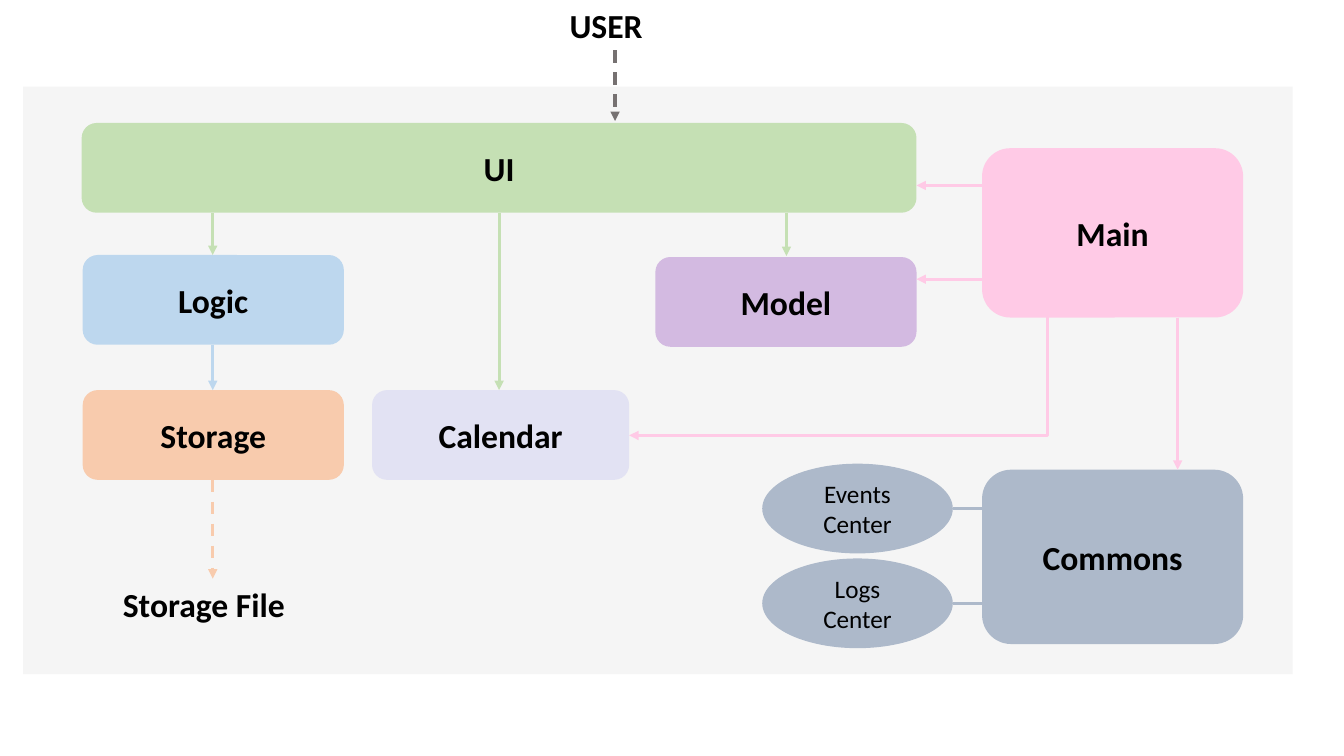
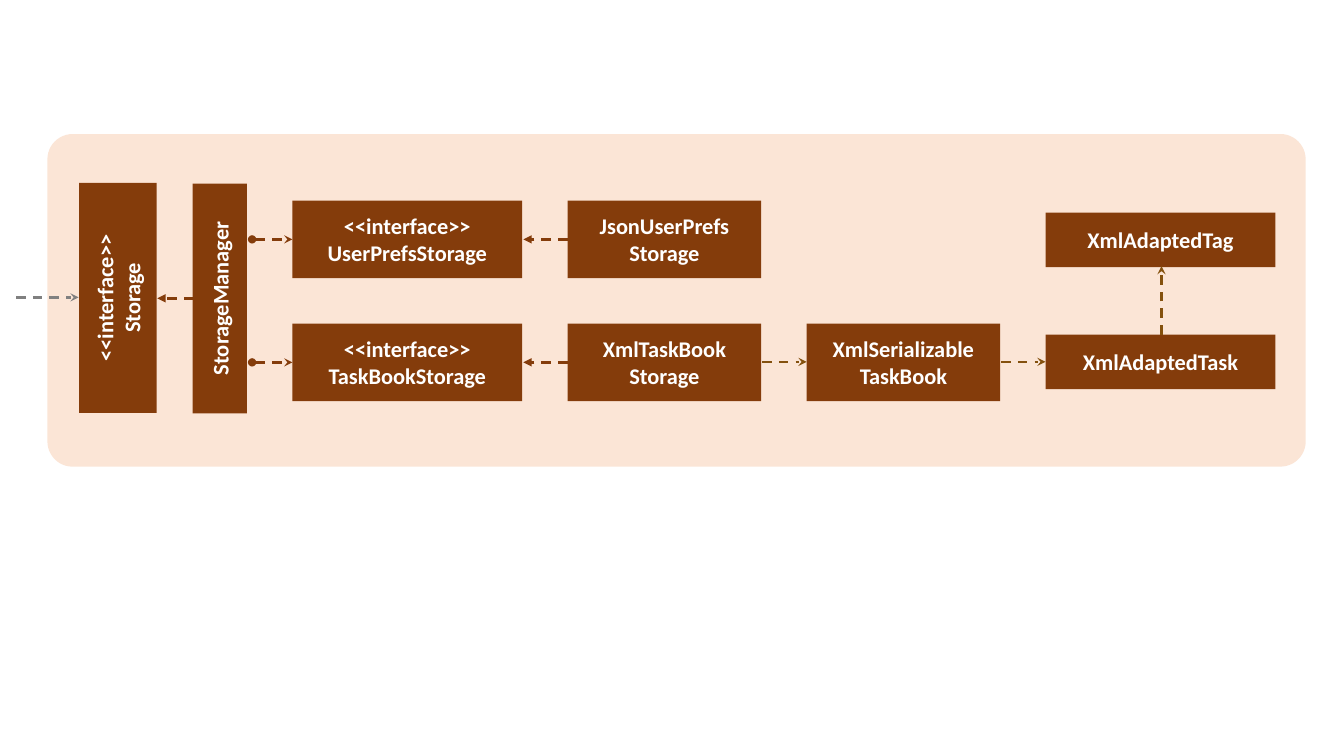
"""Build the two design diagrams: application architecture and storage component."""
from pptx import Presentation
from pptx.dml.color import RGBColor
from pptx.enum import dml, shapes, text
from pptx.oxml import ns
from pptx.util import Inches, Pt
from lxml import etree

FONT = "Calibri"
COLORS = {
    "panel": "F2F2F2", "ui": "C5E0B4", "storage": "F8CBAD", "logic": "BDD7EE",
    "model": "D3BAE1", "commons": "ADB9CA", "main": "FFCAE6", "calendar": "E2E2F3",
    "user": "767171", "black": "000000", "white": "FFFFFF",
    "package": "FBE5D6", "class": "843C0B", "xml": "84510E", "caller": "808080",
}
RECT = shapes.MSO_SHAPE.RECTANGLE
ROUND = shapes.MSO_SHAPE.ROUNDED_RECTANGLE
OVAL = shapes.MSO_SHAPE.OVAL


def rgb(name):
    """Return the named colour."""
    return RGBColor.from_string(COLORS[name])


def add_child(parent, tag, **attributes):
    """Append a DrawingML element to a parent element."""
    return etree.SubElement(parent, ns.qn(tag), attributes)


def write(frame, content, size, color, bold, align=None):
    """Fill a text frame, one paragraph for each line of content."""
    frame.text = content
    for para in frame.paragraphs:
        para.alignment = align
        para.font.name = FONT
        para.font.size = Pt(size)
        para.font.bold = bold
        para.font.color.rgb = rgb(color)


def add_box(page, kind, place, fill, content="", size=24, color="black", bold=True):
    """Draw a filled shape with centred text; place is left, top, width, height."""
    box = page.shapes.add_shape(kind, *map(Inches, place))
    box.shadow.inherit = False
    box.fill.solid()
    box.fill.fore_color.rgb = rgb(fill)
    box.line.fill.background()
    if content:
        box.text_frame.word_wrap = True
        box.text_frame.vertical_anchor = text.MSO_ANCHOR.MIDDLE
        write(box.text_frame, content, size, color, bold, text.PP_ALIGN.CENTER)
    return box


def add_class(page, place, content, upright=False):
    """Draw a class box; an upright one is turned a quarter to the left."""
    box = add_box(page, RECT, place, "class", content, 16, "white")
    if upright:
        box.rotation = 270


def add_label(page, place, content):
    """Write a bold label without a box."""
    label = page.shapes.add_textbox(*map(Inches, place))
    label.text_frame.word_wrap = False
    label.text_frame.auto_size = text.MSO_AUTO_SIZE.SHAPE_TO_FIT_TEXT
    write(label.text_frame, content, 24, "black", True)


def add_line(page, start, end, color, width=2.25, dash=False, head=None,
             tail="triangle", kind=shapes.MSO_CONNECTOR.STRAIGHT):
    """Draw a connector from start to end with optional line ends."""
    line = page.shapes.add_connector(kind, *map(Inches, (*start, *end)))
    line.line.color.rgb = rgb(color)
    line.line.width = Pt(width)
    if dash:
        line.line.dash_style = dml.MSO_LINE.DASH
    stroke = line.line._get_or_add_ln()
    if head:
        add_child(stroke, "a:headEnd", type=head)
    if tail:
        add_child(stroke, "a:tailEnd", type=tail)
    add_child(line._element.spPr, "a:effectLst")
    return line


def add_elbow(page, start, end, color):
    """Draw an arrow that goes straight down first and then sideways."""
    line = add_line(page, start, end, color, kind=shapes.MSO_CONNECTOR.ELBOW)
    geometry = line._element.spPr.find(ns.qn("a:prstGeom"))
    guides = geometry.find(ns.qn("a:avLst"))
    if guides is None:
        guides = add_child(geometry, "a:avLst")
    add_child(guides, "a:gd", name="adj1", fmla="val 0")


def add_dependency(page, start, end, color="class", tail="stealth", head=None):
    """Draw a dashed arrow between classes."""
    add_line(page, start, end, color, 1.7, True, head, tail)


def build_architecture(page):
    """Draw the architecture of the application."""
    panel = add_box(page, RECT, (0.23, 0.86, 12.59, 5.83), "panel")
    tint = panel._element.spPr.find(ns.qn("a:solidFill"))[0]
    add_child(tint, "a:alpha", val="77000")

    width, height = 2.59, 0.89
    for name, left, top, wide, high in (
            ("UI", 0.81, 1.22, 8.28, height),
            ("Storage", 0.82, 3.87, width, height),
            ("Logic", 0.82, 2.53, width, height),
            ("Model", 6.5, 2.55, width, height),
            ("Commons", 9.74, 4.66, width, 1.73),
            ("Main", 9.74, 1.47, width, 1.68),
            ("Calendar", 3.69, 3.87, 2.55, height)):
        add_box(page, ROUND, (left, top, wide, high), name.lower(), name)

    for name, top in (("Events Center", 4.6), ("Logs Center", 5.54)):
        add_box(page, OVAL, (7.56, top, 1.89, height), "commons", name, 18, bold=False)
        middle = top + height / 2
        add_line(page, (9.45, middle), (9.74, middle), "commons", tail=None)

    add_label(page, (5.55, 0, 1.09, 0.5), "USER")
    add_label(page, (1.12, 5.74, 1.99, 0.5), "Storage File")

    for x, top, bottom, color, dash in (
            (2.11, 2.11, 2.53, "ui", False),
            (4.95, 2.11, 3.87, "ui", False),
            (7.8, 2.11, 2.54, "ui", False),
            (2.11, 3.42, 3.87, "logic", False),
            (11.68, 3.15, 4.66, "main", False),
            (2.11, 4.76, 5.74, "storage", True),
            (6.1, 0.5, 1.2, "user", True)):
        add_line(page, (x, top), (x, bottom), color, dash=dash)
    for y in (1.84, 2.77):
        add_line(page, (9.74, y), (9.09, y), "main")
    add_elbow(page, (10.39, 3.15), (6.24, 4.32), "main")


def build_storage(page):
    """Draw the classes of the storage component."""
    package = add_box(page, ROUND, (0.47, 1.33, 12.48, 3.3), "package")
    package.adjustments[0] = 0.076

    long, short, high, low = 2.28, 1.92, 0.77, 0.54
    upper, lower = 1.99, 3.21
    add_class(page, (0.03, 2.57, long, high), "<<interface>>\nStorage", upright=True)
    add_class(page, (1.04, 2.69, long, low), "StorageManager", upright=True)
    for top, interface, implementation in (
            (upper, "UserPrefsStorage", "JsonUserPrefs Storage"),
            (lower, "TaskBookStorage", "XmlTaskBook Storage")):
        add_class(page, (2.9, top, long, high), "<<interface>>\n" + interface)
        add_class(page, (5.63, top, short, high), implementation)
        middle = top + high / 2
        add_dependency(page, (2.5, middle), (2.9, middle), head="oval")
        add_dependency(page, (5.63, middle), (5.19, middle), tail="triangle")
    add_class(page, (8, lower, short, high), "XmlSerializable TaskBook")
    add_class(page, (10.37, 3.32, long, low), "XmlAdaptedTask")
    add_class(page, (10.37, 2.11, long, low), "XmlAdaptedTag")

    add_dependency(page, (0.16, 2.95), (0.78, 2.95), "caller")
    add_dependency(page, (1.92, 2.96), (1.56, 2.96), tail="triangle")
    for start, end in (((7.56, 3.59), (8, 3.59)),
                       ((9.93, 3.59), (10.37, 3.59)),
                       ((11.52, 3.32), (11.52, 2.64))):
        add_dependency(page, start, end, "xml")


def main():
    """Build both slides and save the deck."""
    deck = Presentation()
    deck.slide_width, deck.slide_height = Inches(13.33), Inches(7.5)
    for build in (build_architecture, build_storage):
        build(deck.slides.add_slide(deck.slide_layouts[6]))
    deck.save("out.pptx")


main()
